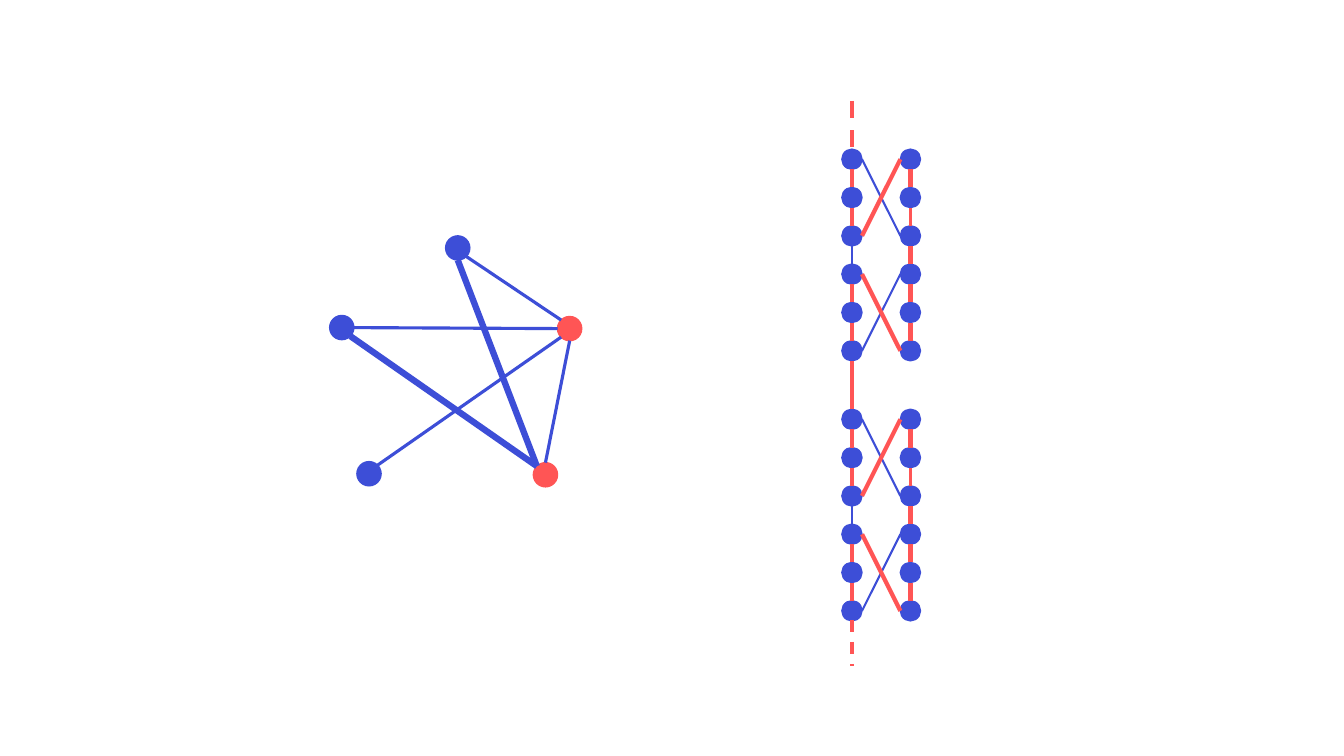
from math import cos, radians, sin

from pptx import Presentation
from pptx.dml.color import RGBColor
from pptx.enum.dml import MSO_LINE_DASH_STYLE as Dash
from pptx.enum.shapes import MSO_CONNECTOR_TYPE as Connector, MSO_SHAPE as Shape
from pptx.oxml.ns import qn
from pptx.util import Inches, Pt
from lxml import etree

BLUE = "3D4ED7"
RED = "FF5555"
ANGLES = {"E": 0, "SE": 45, "S": 90, "SW": 135, "W": 180, "NW": 225, "N": 270, "NE": 315}

GRAPH_RADIUS = 0.12
GRAPH_NODES = {
    "top": (4.54, 2.46, BLUE),
    "right": (5.65, 3.26, RED),
    "lower right": (5.41, 4.71, RED),
    "lower left": (3.66, 4.7, BLUE),
    "left": (3.39, 3.25, BLUE),
}
GRAPH_EDGES = [
    ("left", "E", "right", "W", 2.25),
    ("left", "SE", "lower right", "NW", 4.5),
    ("top", "S", "lower right", "NW", 4.5),
    ("top", "SE", "right", "NW", 2.25),
    ("lower left", "NE", "right", "SW", 2.25),
    ("lower right", "N", "right", "S", 2.25),
]

GADGET_RADIUS = 0.1
LEFT_X, RIGHT_X = 8.45, 9.03
GADGET_TOPS = (1.58, 4.16)
ROWS = 6
PITCH = 0.38
THICK = (RED, 3)
MEDIUM = (RED, 2.25)
THIN = (BLUE, 1.5)
LEFT_LINKS = [THICK, MEDIUM, THIN, THICK, THICK]
RIGHT_LINKS = [THICK, MEDIUM, THICK, THICK, THICK]
CROSSINGS = [(5, 3, THIN), (3, 5, THICK), (0, 2, THIN), (2, 0, THICK)]


def color(value):
    return RGBColor.from_string(value)


def add_node(shapes, x, y, radius, fill):
    size = Inches(2 * radius)
    shape = shapes.add_shape(Shape.OVAL, Inches(x - radius), Inches(y - radius), size, size)
    shape.shadow.inherit = False
    shape.fill.solid()
    shape.fill.fore_color.rgb = color(fill)
    shape.line.color.rgb = color(fill)
    shape.line.width = Pt(1)


def add_edge(shapes, start, end, stroke, width, dash=None):
    points = [Inches(value) for value in (*start, *end)]
    connector = shapes.add_connector(Connector.STRAIGHT, *points)
    connector.line.color.rgb = color(stroke)
    connector.line.width = Pt(width)
    if dash:
        connector.line.dash_style = dash
    etree.SubElement(connector._element.spPr, qn("a:effectLst"))


def rim(x, y, radius, side):
    angle = radians(ANGLES[side])
    return x + radius * cos(angle), y + radius * sin(angle)


def add_graph(shapes):
    for x, y, fill in GRAPH_NODES.values():
        add_node(shapes, x, y, GRAPH_RADIUS, fill)
    for first, first_side, second, second_side, width in GRAPH_EDGES:
        start = rim(*GRAPH_NODES[first][:2], GRAPH_RADIUS, first_side)
        end = rim(*GRAPH_NODES[second][:2], GRAPH_RADIUS, second_side)
        add_edge(shapes, start, end, BLUE, width)


def add_gadget(shapes, top):
    rows = [top + PITCH * row for row in range(ROWS)]
    for x, links in ((LEFT_X, LEFT_LINKS), (RIGHT_X, RIGHT_LINKS)):
        for y in rows:
            add_node(shapes, x, y, GADGET_RADIUS, BLUE)
        for upper, lower, style in zip(rows, rows[1:], links):
            start = rim(x, upper, GADGET_RADIUS, "S")
            end = rim(x, lower, GADGET_RADIUS, "N")
            add_edge(shapes, start, end, *style)
    for left_row, right_row, style in CROSSINGS:
        start = rim(LEFT_X, rows[left_row], GADGET_RADIUS, "E")
        end = rim(RIGHT_X, rows[right_row], GADGET_RADIUS, "W")
        add_edge(shapes, start, end, *style)


def add_path(shapes):
    for top in GADGET_TOPS:
        add_gadget(shapes, top)
    add_edge(shapes, (LEFT_X, 1), (LEFT_X, 1.48), *THICK, dash=Dash.DASH)
    add_edge(shapes, (LEFT_X, 3.58), (LEFT_X, 4.06), *THICK)
    add_edge(shapes, (LEFT_X, 6.15), (LEFT_X, 6.61), *MEDIUM, dash=Dash.DASH)


def main():
    presentation = Presentation()
    presentation.slide_width = Inches(13.33)
    presentation.slide_height = Inches(7.5)
    slide = presentation.slides.add_slide(presentation.slide_layouts[6])
    add_graph(slide.shapes.add_group_shape().shapes)
    add_path(slide.shapes.add_group_shape().shapes)
    presentation.save("out.pptx")


if __name__ == "__main__":
    main()
